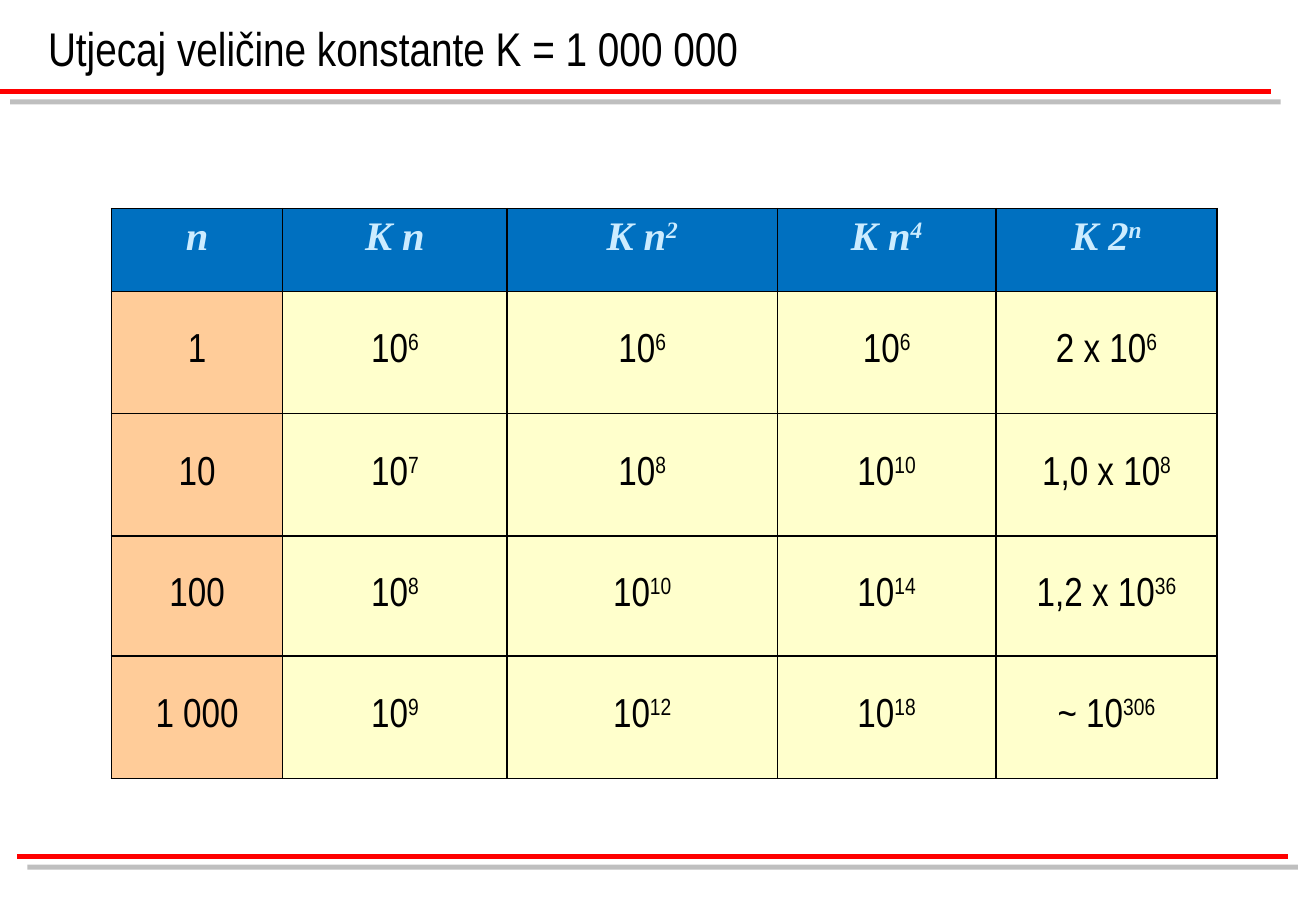
from pptx import Presentation
from pptx.dml.color import RGBColor
from pptx.enum.shapes import MSO_CONNECTOR
from pptx.enum.text import MSO_ANCHOR, MSO_AUTO_SIZE, PP_ALIGN
from pptx.oxml import parse_xml
from pptx.oxml.ns import nsdecls
from pptx.util import Cm, Pt

COLORS = {
    "rule": "FF0000",
    "shadow": "808080",
    "text": "000000",
    "pale": "CCECFF",
    "header": "0070C0",
    "size": "FFCC99",
    "value": "FFFFCC",
}

FORMATS = {
    "title": {"name": "Arial Narrow", "size": Pt(28), "color": "text"},
    "header": {"name": "Times New Roman", "size": Pt(24), "bold": True,
               "italic": True, "color": "pale"},
    "body": {"name": "Arial Narrow", "size": Pt(24), "bold": False,
             "color": "text"},
}

# A caret starts a superscript.
GROWTH = [
    ["n", "K n", "K n^2", "K n^4", "K 2^n"],
    ["1", "10^6", "10^6", "10^6", "2 x 10^6"],
    ["10", "10^7", "10^8", "10^10", "1,0 x 10^8"],
    ["100", "10^8", "10^10", "10^14", "1,2 x 10^36"],
    ["1 000", "10^9", "10^12", "10^18", "~ 10^306"],
]
COLUMN_WIDTHS = [3.58, 4.69, 5.65, 4.57, 4.62]
ROW_HEIGHTS = [1.73, 2.56, 2.56, 2.51, 2.56]


def color(name):
    return RGBColor.from_string(COLORS[name])


def format_font(font, style):
    for attribute, value in FORMATS[style].items():
        if attribute == "color":
            font.color.rgb = color(value)
        else:
            setattr(font, attribute, value)


def write_text(paragraph, text, style, alignment):
    """Write the text, raising whatever follows a caret."""
    paragraph.alignment = alignment
    base, _, exponent = text.partition("^")
    for part, baseline in ((base, None), (exponent, "30000")):
        if part:
            run = paragraph.add_run()
            run.text = part
            format_font(run.font, style)
            if baseline:
                run.font._element.set("baseline", baseline)


def add_title(slide, text):
    title = slide.shapes.title
    title.left, title.top = Cm(0.75), Cm(0)
    title.width, title.height = Cm(25.81), Cm(1.71)
    frame = title.text_frame
    frame.auto_size = MSO_AUTO_SIZE.NONE
    frame.vertical_anchor = MSO_ANCHOR.BOTTOM
    write_text(frame.paragraphs[0], text, "title", PP_ALIGN.LEFT)


def add_rule(slide, left, top):
    """Add a red rule with a grey shadow down to its right."""
    rule = slide.shapes.add_connector(
        MSO_CONNECTOR.STRAIGHT, Cm(left), Cm(top), Cm(left + 26.56), Cm(top))
    rule.line.color.rgb = color("rule")
    rule.line.width = Pt(3)
    rule._element.spPr.append(parse_xml(
        f'<a:effectLst {nsdecls("a")}>'
        f'<a:outerShdw dist="{Pt(8.5)}" dir="2700000" algn="ctr" rotWithShape="0">'
        f'<a:srgbClr val="{COLORS["shadow"]}"><a:alpha val="50000"/></a:srgbClr>'
        '</a:outerShdw></a:effectLst>'))


def add_borders(cell):
    properties = cell._tc.get_or_add_tcPr()
    for side in "LRTB":
        properties.append(parse_xml(
            f'<a:ln{side} {nsdecls("a")} w="{Pt(1)}"><a:solidFill>'
            f'<a:srgbClr val="{COLORS["text"]}"/></a:solidFill></a:ln{side}>'))


def fill_cell(cell, text, is_header, is_size):
    add_borders(cell)
    cell.fill.solid()
    fill = "header" if is_header else "size" if is_size else "value"
    cell.fill.fore_color.rgb = color(fill)
    cell.vertical_anchor = MSO_ANCHOR.TOP if is_header else MSO_ANCHOR.MIDDLE
    write_text(cell.text_frame.paragraphs[0], text,
               "header" if is_header else "body", PP_ALIGN.CENTER)


def add_growth_table(slide):
    table = slide.shapes.add_table(
        len(GROWTH), len(GROWTH[0]), Cm(2.33), Cm(4.36),
        Cm(sum(COLUMN_WIDTHS)), Cm(sum(ROW_HEIGHTS))).table
    for column, width in zip(table.columns, COLUMN_WIDTHS):
        column.width = Cm(width)
    for row, height in zip(table.rows, ROW_HEIGHTS):
        row.height = Cm(height)
    for row_index, texts in enumerate(GROWTH):
        for column_index, text in enumerate(texts):
            fill_cell(table.cell(row_index, column_index), text,
                      row_index == 0, column_index == 0)


def main():
    presentation = Presentation()
    presentation.slide_width, presentation.slide_height = Cm(27.51), Cm(19.05)
    slide = presentation.slides.add_slide(presentation.slide_layouts[5])
    add_rule(slide, 0, 1.92)
    add_rule(slide, 0.36, 17.92)
    add_title(slide, "Utjecaj veličine konstante K = 1 000 000")
    add_growth_table(slide)
    presentation.save("out.pptx")


if __name__ == "__main__":
    main()
